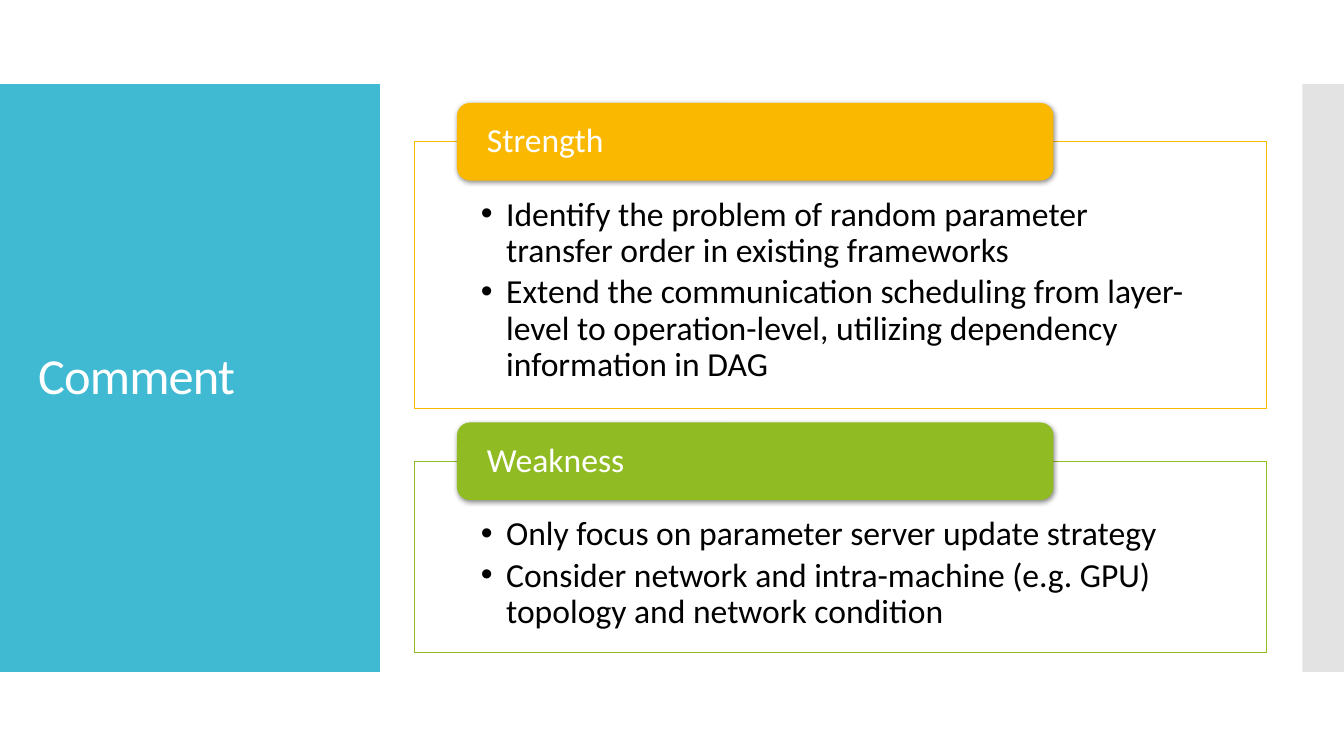
from dataclasses import dataclass

from lxml.etree import SubElement
from pptx import Presentation
from pptx.dml.color import RGBColor
from pptx.enum.shapes import MSO_SHAPE
from pptx.enum.text import MSO_ANCHOR, MSO_AUTO_SIZE, PP_ALIGN
from pptx.oxml.ns import qn
from pptx.util import Pt


@dataclass(frozen=True)
class Theme:
    font: str = "Calibri"
    title_size: float = 36
    text_size: float = 24
    white: str = "FFFFFF"
    black: str = "000000"
    sidebar: str = "40BAD2"
    strip: str = "C8C8C8"
    strength: str = "FAB900"
    weakness: str = "90BB23"


THEME = Theme()
HEADER_HEIGHT = 55.4
CARD_GAP = 9.7
CARDS = [
    ("Strength", THEME.strength, 190.8, [
        "Identify the problem of random parameter transfer order in existing frameworks",
        "Extend the communication scheduling from layer-level to operation-level, "
        "utilizing dependency information in DAG",
    ]),
    ("Weakness", THEME.weakness, 136.8, [
        "Only focus on parameter server update strategy",
        "Consider network and intra-machine (e.g. GPU) topology and network condition",
    ]),
]


def place(shape, left, top, width, height):
    shape.left, shape.top = Pt(left), Pt(top)
    shape.width, shape.height = Pt(width), Pt(height)


def set_fill(shape, color, opacity=100):
    shape.fill.solid()
    shape.fill.fore_color.rgb = RGBColor.from_string(color)
    if opacity < 100:
        color_element = shape.fill._xPr.find(qn("a:solidFill"))[0]
        SubElement(color_element, qn("a:alpha"), val=str(opacity * 1000))


def add_block(slide, preset, box, color, opacity=100):
    shape = slide.shapes.add_shape(preset, *map(Pt, box))
    shape.shadow.inherit = False
    set_fill(shape, color, opacity)
    shape.line.fill.background()
    return shape


def set_frame(shape, anchor, left, top, right, bottom):
    frame = shape.text_frame
    frame.word_wrap = True
    frame.auto_size = MSO_AUTO_SIZE.NONE
    frame.vertical_anchor = anchor
    frame.margin_left, frame.margin_top = Pt(left), Pt(top)
    frame.margin_right, frame.margin_bottom = Pt(right), Pt(bottom)
    return frame


def format_paragraph(paragraph, size, color):
    paragraph.alignment = PP_ALIGN.LEFT
    paragraph.line_spacing = 0.9
    paragraph.space_before = Pt(0)
    for run in paragraph.runs:
        run.font.name = THEME.font
        run.font.size = Pt(size)
        run.font.color.rgb = RGBColor.from_string(color)


def add_bullet(paragraph):
    paragraph.level = 1
    paragraph.space_after = Pt(3.6)
    properties = paragraph._p.get_or_add_pPr()
    properties.set("marL", str(Pt(18)))
    properties.set("indent", str(Pt(-18)))
    SubElement(properties, qn("a:buFont"), typeface="Arial")
    SubElement(properties, qn("a:buChar"), char="•")


def add_soft_shadow(shape):
    effects = shape._element.spPr.find(qn("a:effectLst"))
    shadow = SubElement(effects, qn("a:outerShdw"), blurRad=str(Pt(3.5)),
                        dist=str(Pt(1.1)), dir="5400000", rotWithShape="0")
    color = SubElement(shadow, qn("a:srgbClr"), val=THEME.black)
    SubElement(color, qn("a:alpha"), val="45000")


def build_sidebar(slide, left, top, width, height):
    # Coloured band behind the title
    band = add_block(slide, MSO_SHAPE.RECTANGLE, (left, top, width, height), THEME.sidebar)
    title = slide.shapes.title
    title._element.addprevious(band._element)
    place(title, left + 20, top + 29, width - 39.4, height - 58)
    frame = set_frame(title, MSO_ANCHOR.MIDDLE, 7.2, 3.6, 7.2, 3.6)
    frame.text = "Comment"
    format_paragraph(frame.paragraphs[0], THEME.title_size, THEME.white)
    frame.paragraphs[0].runs[0].font._element.set("spc", "-60")


def build_card(slide, panel, heading, color, bullets, left, top, width, height):
    # Outlined panel with the bullet list
    place(panel, left, top + HEADER_HEIGHT / 2, width, height - HEADER_HEIGHT / 2)
    set_fill(panel, THEME.white, 90)
    panel.line.color.rgb = RGBColor.from_string(color)
    panel.line.width = Pt(0.75)
    frame = set_frame(panel, MSO_ANCHOR.TOP, 47.5, 39.6, 47.5, 13.7)
    for index, bullet in enumerate(bullets):
        paragraph = frame.add_paragraph() if index else frame.paragraphs[0]
        paragraph.text = bullet
        format_paragraph(paragraph, THEME.text_size, THEME.black)
        add_bullet(paragraph)

    # Heading straddling the panel's top edge
    box = (left + width * 0.05, top, width * 0.7, HEADER_HEIGHT)
    header = add_block(slide, MSO_SHAPE.ROUNDED_RECTANGLE, box, color)
    add_soft_shadow(header)
    frame = set_frame(header, MSO_ANCHOR.MIDDLE, 18.7, 0, 18.7, 0)
    frame.text = heading
    format_paragraph(frame.paragraphs[0], THEME.text_size, THEME.white)


def build_cards(slide, left, top, width):
    panels = list(slide.placeholders)[1:]
    for panel, (heading, color, panel_height, bullets) in zip(panels, CARDS):
        height = HEADER_HEIGHT / 2 + panel_height
        build_card(slide, panel, heading, color, bullets, left, top, width, height)
        top += height + CARD_GAP


def main():
    presentation = Presentation()
    presentation.slide_width, presentation.slide_height = Pt(960), Pt(540)
    two_content_layout = presentation.slide_layouts[3]
    slide = presentation.slides.add_slide(two_content_layout)
    build_sidebar(slide, 0, 60, 271.4, 420)
    # Grey strip at the right edge
    add_block(slide, MSO_SHAPE.RECTANGLE, (930.4, 60, 29.6, 420), THEME.strip, 50)
    build_cards(slide, 296, 73.6, 608.6)
    presentation.save("out.pptx")


if __name__ == "__main__":
    main()
